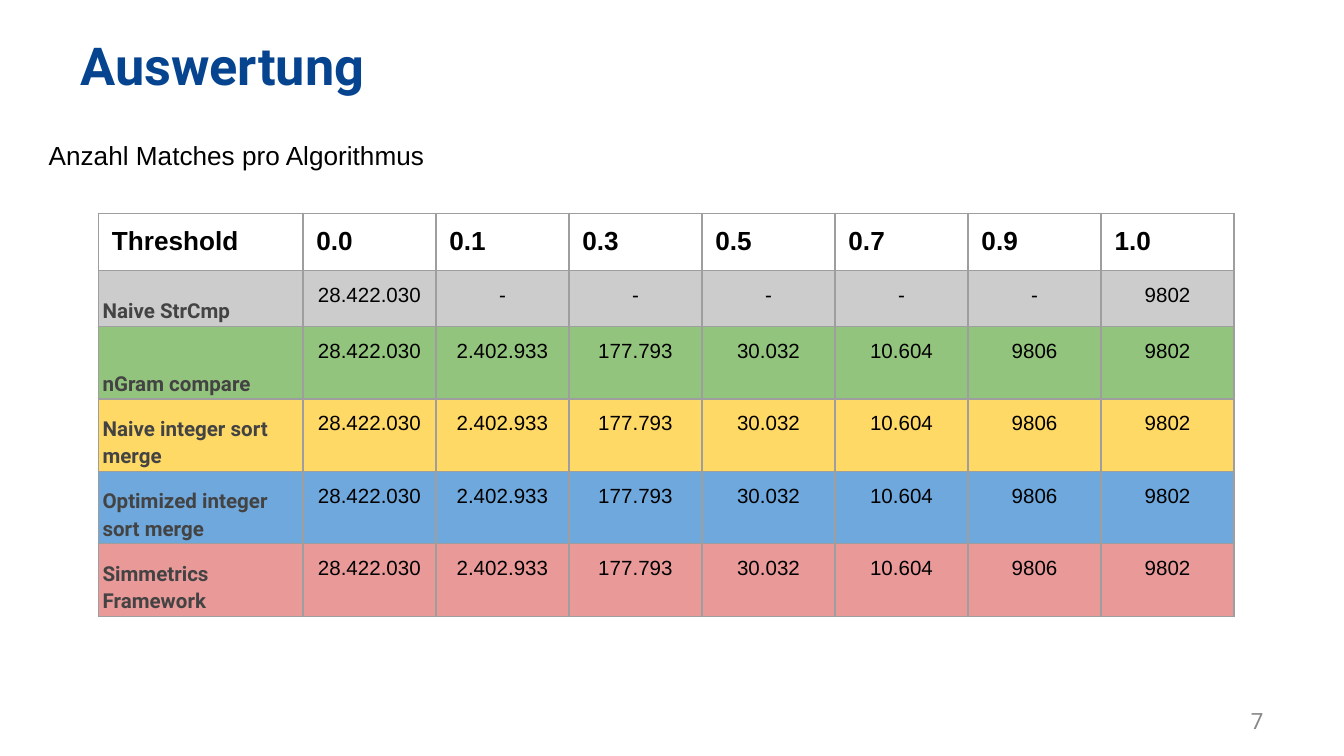
from dataclasses import dataclass

from lxml.etree import SubElement
from pptx import Presentation
from pptx.dml.color import RGBColor
from pptx.enum.text import MSO_ANCHOR, PP_ALIGN
from pptx.oxml.ns import qn
from pptx.util import Inches, Pt


@dataclass(frozen=True)
class Theme:
    sans: str = "Arial"
    head: str = "Roboto"
    title: str = "06448F"
    ink: str = "000000"
    label: str = "434343"
    muted: str = "888888"
    rule: str = "9E9E9E"
    big: int = 28
    mid: int = 14
    page: int = 12
    small: int = 11


T = Theme()
WIDTH = Inches(10)
HEIGHT = WIDTH * 9 // 16

LEVELS = ["0.0", "0.1", "0.3", "0.5", "0.7", "0.9", "1.0"]
FULL = ["28.422.030", "2.402.933", "177.793", "30.032", "10.604", "9806", "9802"]
EXACT = [FULL[0]] + ["-"] * 5 + [FULL[-1]]
ROWS = [
    ("Naive StrCmp", "CCCCCC", EXACT),
    ("nGram compare", "93C47D", FULL),
    ("Naive integer sort merge", "FFD966", FULL),
    ("Optimized integer sort merge", "6FA8DC", FULL),
    ("Simmetrics Framework", "EA9999", FULL),
]


def share(x, y, w, h):
    """Turn percentages of the slide into a box in EMU."""
    return [int(part * side / 100)
            for part, side in zip((x, y, w, h), (WIDTH, HEIGHT) * 2)]


def pad(item, side, edge):
    item.margin_left = item.margin_right = Inches(side)
    item.margin_top = item.margin_bottom = Inches(edge)


def write(frame, text, size, font, color, bold=False, align=PP_ALIGN.LEFT):
    para = frame.paragraphs[0]
    para.alignment = align
    run = para.add_run()
    run.text = text
    run.font.size, run.font.name, run.font.bold = Pt(size), font, bold
    run.font.color.rgb = RGBColor.from_string(color)
    return para


def add_text(slide, box, edge, anchor, *style, **more):
    frame = slide.shapes.add_textbox(*box).text_frame
    frame.word_wrap = True
    pad(frame, 0.1, edge)
    frame.vertical_anchor = anchor
    write(frame, *style, **more)


def add_title(slide, box):
    add_text(slide, box, 0.05, MSO_ANCHOR.MIDDLE,
             "Auswertung", T.big, T.head, T.title, bold=True)


def add_lead(slide, box):
    add_text(slide, box, 0.1, MSO_ANCHOR.TOP,
             "Anzahl Matches pro Algorithmus", T.mid, T.sans, T.ink)


def add_page(slide, box):
    add_text(slide, box, 0.05, MSO_ANCHOR.MIDDLE,
             "7", T.page, T.head, T.muted, align=PP_ALIGN.RIGHT)


def style_cell(cell, fill):
    """Draw the four borders, then fill the cell or leave it clear."""
    props = cell._tc.get_or_add_tcPr()
    for side in ("lnL", "lnR", "lnT", "lnB"):
        line = SubElement(props, qn(f"a:{side}"), w=str(Pt(0.75)))
        solid = SubElement(line, qn("a:solidFill"))
        SubElement(solid, qn("a:srgbClr"), val=T.rule)
    if fill:
        cell.fill.solid()
        cell.fill.fore_color.rgb = RGBColor.from_string(fill)
    else:
        cell.fill.background()
    pad(cell, 0.1, 0.1)


def add_matches(slide, box):
    left, top, width, height = box
    grid = slide.shapes.add_table(len(ROWS) + 1, len(LEVELS) + 1,
                                  left, top, width, height).table
    grid.first_row = grid.horz_banding = False
    first = int(width * 0.18)
    for i, col in enumerate(grid.columns):
        col.width = (width - first) // len(LEVELS) if i else first
    low = int(height * 0.14)
    for i, row in enumerate(grid.rows):
        row.height = low if i < 2 else (height - 2 * low) // (len(ROWS) - 1)

    for c, text in enumerate(["Threshold"] + LEVELS):
        cell = grid.cell(0, c)
        style_cell(cell, None)
        cell.margin_bottom = Inches(0.09)
        write(cell.text_frame, text, T.mid, T.sans, T.ink, bold=True)

    for r, (name, fill, counts) in enumerate(ROWS, 1):
        cell = grid.cell(r, 0)
        style_cell(cell, fill)
        pad(cell, 0.03, 0.02)
        cell.vertical_anchor = MSO_ANCHOR.BOTTOM
        para = write(cell.text_frame, name, T.small, T.head, T.label, bold=True)
        para.line_spacing = 1.15
        for c, count in enumerate(counts, 1):
            cell = grid.cell(r, c)
            style_cell(cell, fill)
            write(cell.text_frame, count, T.small, T.sans, T.ink,
                  align=PP_ALIGN.CENTER)


def main():
    deck = Presentation()
    deck.slide_width, deck.slide_height = WIDTH, HEIGHT
    slide = deck.slides.add_slide(deck.slide_layouts[6])
    add_page(slide, share(71.7, 92.6, 23.3, 5.33))
    add_title(slide, share(5, 4.1, 90, 8.9))
    add_matches(slide, share(7.33, 28.2, 84.5, 53.25))
    add_lead(slide, share(2.64, 16.7, 34.4, 6.94))
    deck.save("out.pptx")


if __name__ == "__main__":
    main()
